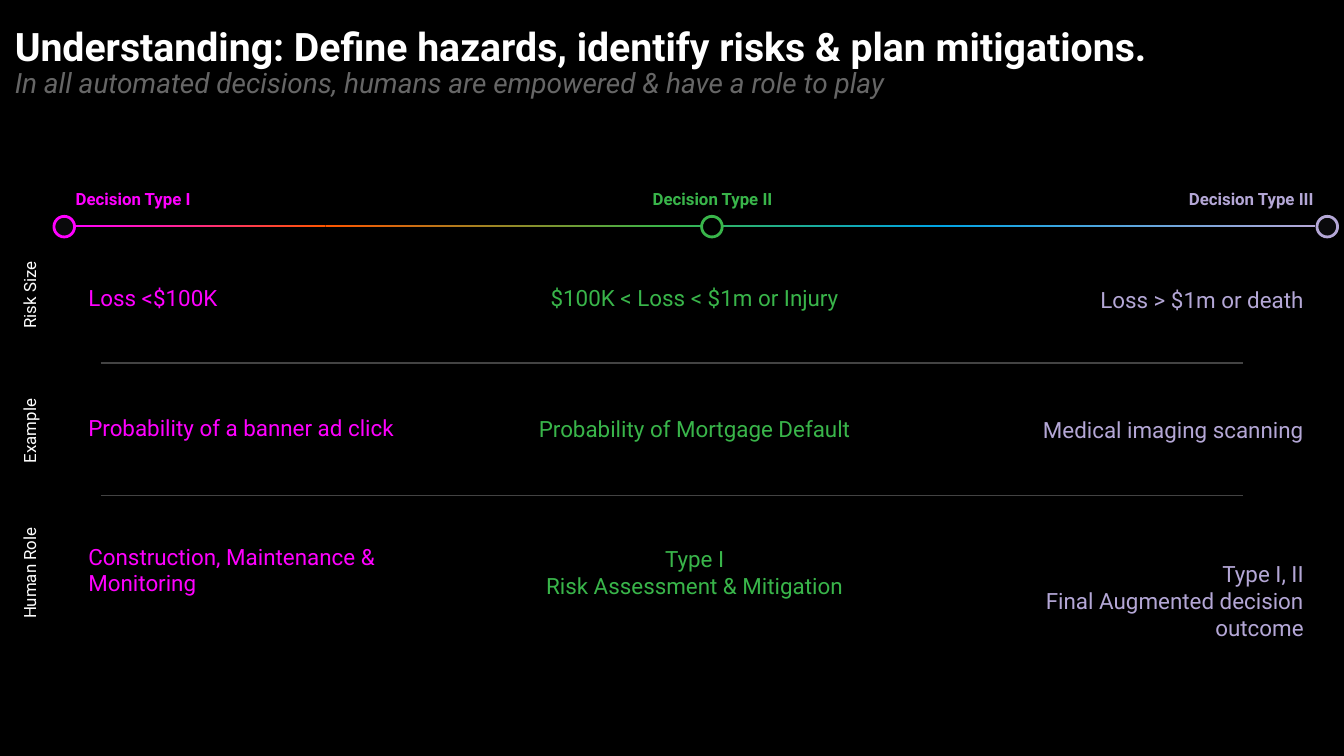
from pptx import Presentation
from pptx.dml.color import RGBColor
from pptx.enum.shapes import MSO_CONNECTOR, MSO_SHAPE
from pptx.enum.text import MSO_ANCHOR, MSO_AUTO_SIZE, PP_ALIGN
from pptx.util import Cm, Pt
from lxml import etree

COLORS = {
    "black": "000000", "dot": "0A0A0C", "white": "FFFFFF", "subtitle": "666666",
    "rule": "434343", "magenta": "FF00FF", "orange": "FF5600", "green": "39B54A",
    "blue": "00A4E4", "lilac": "B4A7D6",
}
DRAWING = "http://schemas.openxmlformats.org/drawingml/2006/main"
LEFT, CENTER, RIGHT = PP_ALIGN.LEFT, PP_ALIGN.CENTER, PP_ALIGN.RIGHT


class Board:
    font = "Roboto"

    def __init__(self, s):
        self.s = s
        self.shapes = s.shapes
        s.background.fill.solid()
        s.background.fill.fore_color.rgb = self.color("black")

    def color(self, name):
        return RGBColor.from_string(COLORS[name])

    def style(self, p, size, color, bold=False, italic=False):
        f = p.font
        f.name, f.size, f.bold, f.italic = self.font, Pt(size), bold, italic
        f.color.rgb = self.color(color)

    def text(self, x, y, w, h, lines, size, color, align=LEFT, bold=False,
             inset=(0.25, 0.25), middle=False, indent=0, rotation=0):
        sp = self.shapes.add_textbox(Cm(x), Cm(y), Cm(w), Cm(h))
        sp.rotation = rotation
        tf = sp.text_frame
        tf.word_wrap = True
        tf.auto_size = MSO_AUTO_SIZE.NONE if middle else MSO_AUTO_SIZE.SHAPE_TO_FIT_TEXT
        tf.vertical_anchor = MSO_ANCHOR.MIDDLE if middle else MSO_ANCHOR.TOP
        tf.margin_left = tf.margin_right = Cm(inset[0])
        tf.margin_top = tf.margin_bottom = Cm(inset[1])
        tf.text = lines
        for p in tf.paragraphs:
            p.alignment = align
            if indent:
                p._p.get_or_add_pPr().set("marL", str(Cm(indent)))
            self.style(p, size, color, bold)
        return tf

    def circle(self, x, y, d, fill, line):
        sp = self.shapes.add_shape(MSO_SHAPE.OVAL, Cm(x), Cm(y), Cm(d), Cm(d))
        sp.shadow.inherit = False
        sp.fill.solid()
        sp.fill.fore_color.rgb = self.color(fill)
        sp.line.color.rgb = self.color(line)
        sp.line.width = Pt(1.5)

    def gradient_bar(self, x1, x2, y, h, start, end):
        sp = self.shapes.add_shape(MSO_SHAPE.RECTANGLE, Cm(x1), Cm(y), Cm(x2 - x1), Cm(h))
        sp.shadow.inherit = False
        sp.line.fill.background()
        sp.fill.gradient()
        sp.fill.gradient_angle = 0
        for stop, name in zip(sp.fill.gradient_stops, (start, end)):
            stop.color.rgb = self.color(name)

    def rule(self, x1, x2, y):
        c = self.shapes.add_connector(MSO_CONNECTOR.STRAIGHT, Cm(x1), Cm(y), Cm(x2), Cm(y))
        c.line.color.rgb = self.color("rule")
        c.line.width = Pt(0.75)
        etree.SubElement(c._element.spPr, f"{{{DRAWING}}}effectLst")


def main():
    prs = Presentation()
    prs.slide_width, prs.slide_height = Cm(25.4), Cm(14.29)
    s = prs.slides.add_slide(prs.slide_layouts[6])
    board = Board(s)

    tf = board.text(
        0.1, 0.38, 23.8, 1.65,
        "Understanding: Define hazards, identify risks & plan mitigations.\n"
        "In all automated decisions, humans are empowered & have a role to play",
        21, "white", bold=True, inset=(0.18, 0.1), middle=True)
    for p in tf.paragraphs:
        p.line_spacing = 0.9
    board.style(tf.paragraphs[1], 15, "subtitle", italic=True)

    board.shapes = s.shapes.add_group_shape().shapes
    edges = [1.41, 6.15, 12.61, 17.72, 24.85]
    stops = ["magenta", "orange", "green", "blue", "lilac"]
    for x1, x2, start, end in zip(edges, edges[1:], stops, stops[1:]):
        board.gradient_bar(x1, x2, 4.25, 0.05, start, end)
    for circle_x, label_x, label, fill, color in [
        (1.02, 1.27, "Decision Type I", "dot", "magenta"),
        (13.26, 12.22, "Decision Type II", "black", "green"),
        (24.89, 22.4, "Decision Type III", "dot", "lilac"),
    ]:
        board.circle(circle_x, 4.09, 0.39, fill, color)
        board.text(label_x, 3.45, 2.49, 0.61, label, 9, color, CENTER,
                   bold=True, inset=(0, 0), middle=True)
    board.shapes = s.shapes

    for y, label in [(5.13, "Risk Size"), (7.7, "Example"), (10.39, "Human Role")]:
        board.text(-0.79, y, 2.82, 0.89, label, 9, "white", CENTER, rotation=270)
    for y in (6.86, 9.37):
        board.rule(1.9, 23.5, y)

    columns = [
        (1.42, "magenta", LEFT, [
            (5.13, 1.02, 0, "Loss <$100K"),
            (7.57, 1.02, 0, "Probability of a banner ad click"),
            (10.01, 1.55, 0, "Construction, Maintenance & Monitoring")]),
        (9.37, "green", CENTER, [
            (5.13, 1.02, 0, "$100K < Loss < $1m or Injury"),
            (7.59, 1.02, 0, "Probability of Mortgage Default"),
            (10.06, 1.55, 0, "Type I\nRisk Assessment & Mitigation")]),
        (17.37, "lilac", RIGHT, [
            (5.16, 1.02, 0, "Loss > $1m or death"),
            (7.62, 1.02, 0, "Medical imaging scanning"),
            (10.34, 2.06, 1.27, "Type I, II\nFinal Augmented decision outcome")]),
    ]
    for x, color, align, cells in columns:
        for y, h, indent, lines in cells:
            board.text(x, y, 7.52, h, lines, 12, color, align, indent=indent)

    prs.save("out.pptx")


if __name__ == "__main__":
    main()
